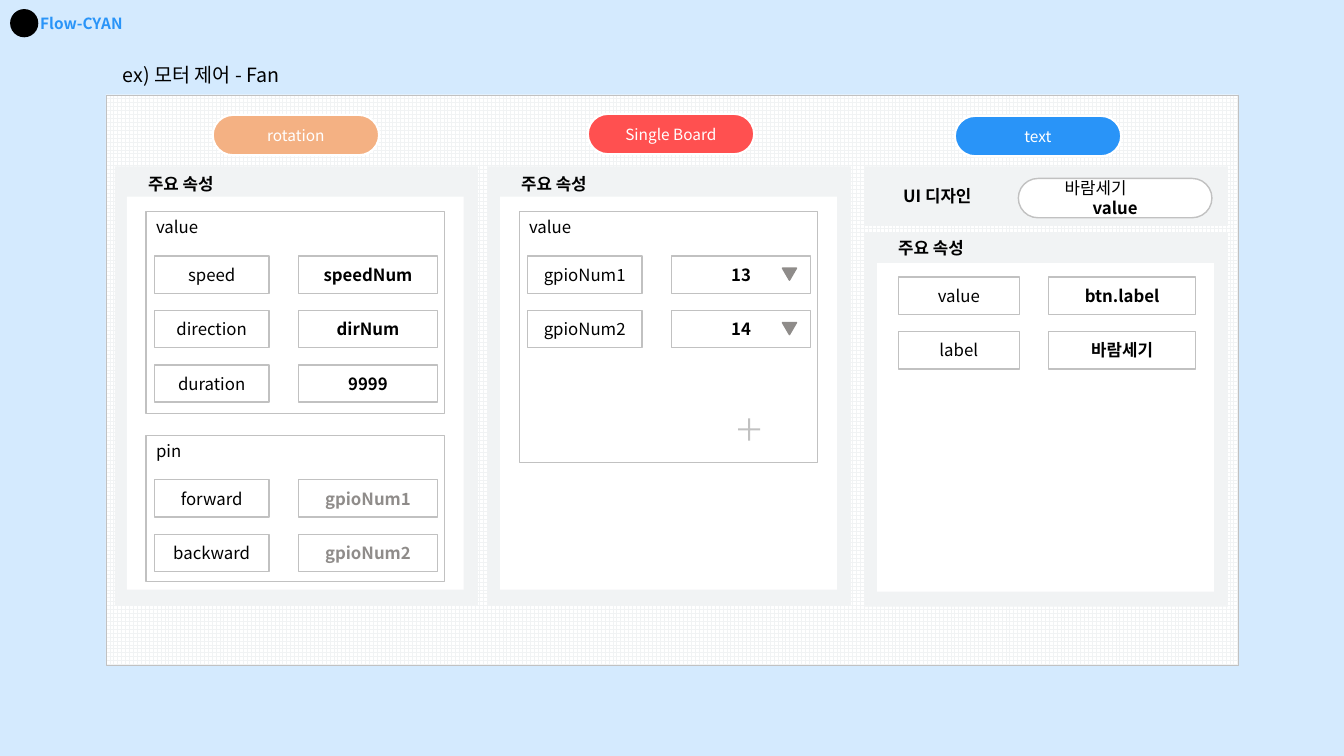
from pptx import Presentation
from pptx.util import Inches, Pt
from pptx.dml.color import RGBColor
from pptx.enum.dml import MSO_PATTERN
from pptx.enum.shapes import MSO_SHAPE as SHAPE
from pptx.enum.text import MSO_ANCHOR, PP_ALIGN

# Content
FONT = "Noto Sans CJK KR"
BLACK, WHITE, GRAY, EDGE, PALE, BLUE = (
    "000000", "FFFFFF", "8F8C8A", "C1C1C1", "F1F3F4", "2994F8")
BRAND = "Flow-CYAN"
TITLE = "ex) 모터 제어 - Fan"
HEAD = "주요 속성"
DESIGN = ("UI 디자인", "바람세기\t", "value")

# Panels: left, top, height; pill: text, colour, left, top
PANELS = [
    dict(box=(1.14, 1.65, 4.35), pill=("rotation", "F4B183", 2.11, 1.14),
         cards=[("value", 2.1, 2.0, BLACK,
                 [("speed", "speedNum"), ("direction", "dirNum"), ("duration", "9999")]),
                ("pin", 4.32, 1.45, GRAY,
                 [("forward", "gpioNum1"), ("backward", "gpioNum2")])]),
    dict(box=(4.84, 1.65, 4.35), pill=("Single Board", "FF5050", 5.83, 1.13),
         cards=[("value", 2.1, 2.49, BLACK,
                 [("gpioNum1", "13"), ("gpioNum2", "14")])], picks=True),
    dict(box=(8.58, 2.31, 3.71), pill=("text", BLUE, 9.47, 1.15),
         cards=[(None, 2.31, 0, BLACK,
                 [("value", "btn.label"), ("label", "바람세기")])], wide=True),
]
WIDTH, INNER, PAD, BAR = 3.6, 3.34, 0.12, 0.3   # panel
ROW, STEP, FIRST = 0.37, 0.54, 0.44             # field rows
GAP, VALUE = 1.53, 1.82                         # label end, value start

deck = Presentation()
deck.slide_width, deck.slide_height = Inches(13.33), Inches(7.5)
slide = deck.slides.add_slide(deck.slide_layouts[6])


def color(code):
    return RGBColor.from_string(code)


def write(frame, text, size=12, ink=BLACK, bold=False, align=PP_ALIGN.CENTER):
    para = frame.paragraphs[0]
    para.alignment = align
    para.font.name, para.font.size, para.font.bold = FONT, Pt(size), bold
    para.font.color.rgb = color(ink)
    para.add_run().text = text
    return para


def shape(kind, x, y, w, h, fill=WHITE, edge=None, width=1):
    item = slide.shapes.add_shape(kind, *map(Inches, (x, y, w, h)))
    item.shadow.inherit = False
    item.fill.solid()
    item.fill.fore_color.rgb = color(fill)
    if edge:
        item.line.color.rgb = color(edge)
        item.line.width = Pt(width)
    else:
        item.line.fill.background()
    item.text_frame.vertical_anchor = MSO_ANCHOR.MIDDLE
    return item


def label(text, x, y, w, h=0.33, size=12, ink=BLACK, bold=True):
    frame = slide.shapes.add_textbox(*map(Inches, (x, y, w, h))).text_frame
    frame.word_wrap = False
    write(frame, text, size, ink, bold, PP_ALIGN.LEFT)


def field(text, x, y, w, ink=BLACK, bold=False):
    box = shape(SHAPE.RECTANGLE, x, y, w, ROW, edge=EDGE)
    write(box.text_frame, text, ink=ink, bold=bold)


def pill(x, y, w, h, fill, edge, width):
    item = shape(SHAPE.ROUNDED_RECTANGLE, x, y, w, h, fill, edge, width)
    item.adjustments[0] = 0.5
    return item


# Backdrop, brand mark and board
back = slide.background.fill
back.solid()
back.fore_color.rgb = color("D4EAFE")
shape(SHAPE.OVAL, 0.1, 0.09, 0.28, 0.28, BLACK)
label(BRAND, 0.3, 0.09, 1.1, 0.29, 11, BLUE)
board = shape(SHAPE.RECTANGLE, 1.05, 0.94, 11.23, 5.66, edge=EDGE, width=0.25)
board.fill.patterned()
board.fill.pattern = MSO_PATTERN.LARGE_GRID
board.fill.fore_color.rgb = color(PALE)
board.fill.back_color.rgb = color(WHITE)
label(TITLE, 1.12, 0.58, 1.9, 0.34, 14, bold=False)

# Panels with their pills, cards and fields
for panel in PANELS:
    left, top, high = panel["box"]
    name, tint, px, py = panel["pill"]
    wide = panel.get("wide")
    write(pill(px, py, 1.65, 0.4, tint, WHITE, 1.5).text_frame, name, 11, WHITE)
    shape(SHAPE.RECTANGLE, left, top, WIDTH, high, PALE)
    shape(SHAPE.RECTANGLE, left + PAD, top + BAR, INNER, high - BAR - 0.15)
    label(HEAD, left + 0.23, top + (0 if wide else 0.02), 0.93)
    start = left + (0.33 if wide else 0.39)
    for title, y, tall, ink, rows in panel["cards"]:
        if title:
            card = shape(SHAPE.RECTANGLE, left + 0.31, y, 2.96, tall, edge=EDGE)
            card.text_frame.vertical_anchor = MSO_ANCHOR.TOP
            write(card.text_frame, title, align=PP_ALIGN.LEFT)
        for i, (key, value) in enumerate(rows):
            line = y + FIRST + i * STEP
            field(key, start, line, left + GAP - start)
            field(value, left + VALUE, line, 1.46 if wide else 1.38, ink, True)
            if panel.get("picks"):
                mark = shape(SHAPE.ISOSCELES_TRIANGLE, left + 2.92, line + 0.12,
                             0.14, 0.12, GRAY, GRAY)
                mark.rotation = 180
    if panel.get("picks"):
        plus = shape(SHAPE.CROSS, left + 2.48, 4.15, 0.22, 0.22, EDGE)
        plus.adjustments[0] = 0.457

# UI design strip above the last panel
shape(SHAPE.RECTANGLE, left, 1.65, WIDTH, 0.59, PALE)
label(DESIGN[0], left + 0.28, 1.79, 0.94)
sample = pill(left + 1.52, 1.77, 1.92, 0.39, WHITE, EDGE, 1)
para = write(sample.text_frame, DESIGN[1])
para.add_line_break()
run = para.add_run()
run.text, run.font.bold = DESIGN[2], True

deck.save("out.pptx")
